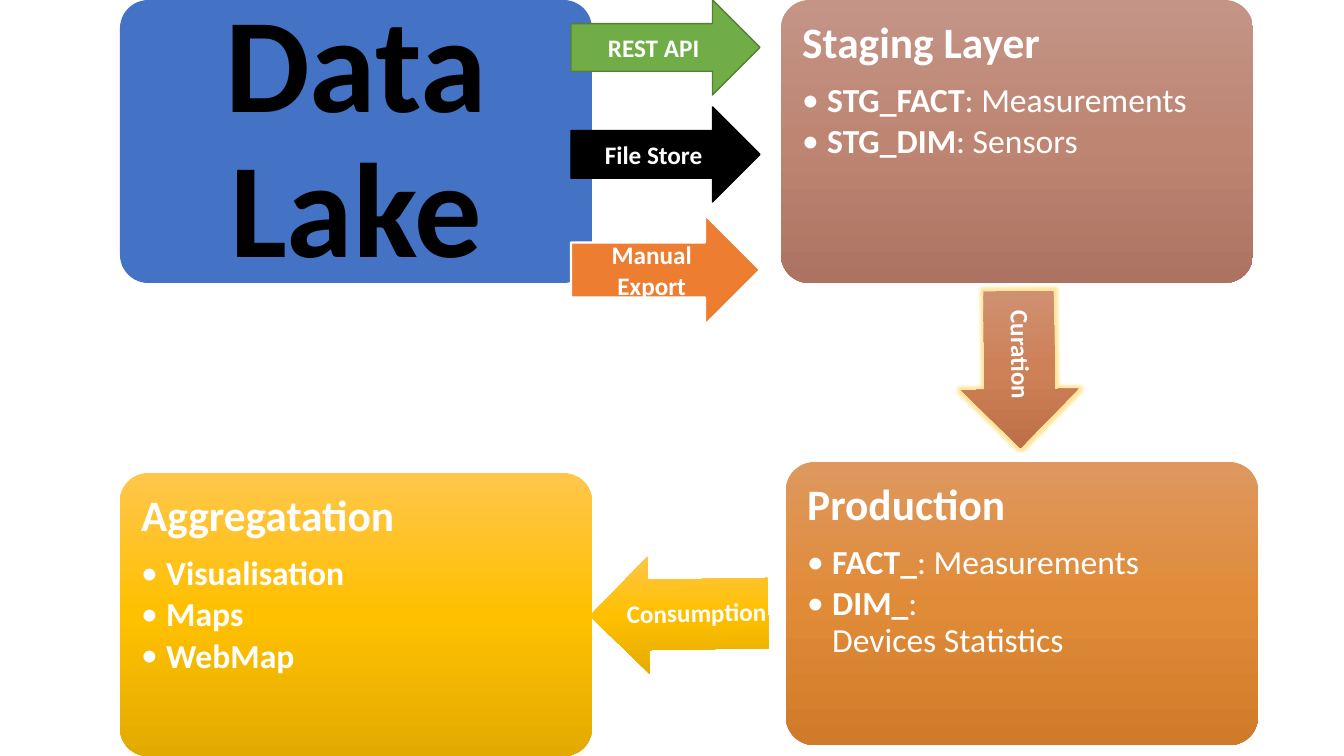
from copy import deepcopy
from pptx import Presentation
from pptx.dml.color import RGBColor
from pptx.enum.shapes import MSO_SHAPE
from pptx.enum.text import MSO_ANCHOR, PP_ALIGN
from pptx.oxml import parse_xml
from pptx.oxml.ns import nsdecls, qn
from pptx.util import Pt

PX = 914400 / 100.8
ROSE = ["C49587", "BE8573", "AD7362"]
CLAY = ["CF9172", "CE8056", "BD7047"]
AMBER = ["DE985E", "E08B38", "D07B29"]
GOLD = ["FFC64B", "FFC000", "E3AB00"]


def add_block(kind, box, tints, inset=0):
    """Add a borderless shape with a flat or three-stop fill and even insets."""
    shape = slide.shapes.add_shape(kind, *[round(n * PX) for n in box])
    shape.shadow.inherit = False
    shape.line.fill.background()
    if len(tints) == 1:
        shape.fill.solid()
        shape.fill.fore_color.rgb = RGBColor.from_string(tints[0])
    else:
        shape.fill.gradient()
        shape.fill.gradient_angle = 270
        stops = shape._element.spPr.find(".//" + qn("a:gsLst"))
        stops.append(deepcopy(stops[0]))
        for i, stop in enumerate(shape.fill.gradient_stops):
            stop.position = i / 2
            stop.color.rgb = RGBColor.from_string(tints[i])
    frame = shape.text_frame
    frame.word_wrap = True
    frame.margin_left = frame.margin_right = round(inset * PX)
    frame.margin_top = frame.margin_bottom = round(inset * PX)
    frame.vertical_anchor = MSO_ANCHOR.MIDDLE
    return shape


def set_text(para, text, size, color="FFFFFF", align=PP_ALIGN.CENTER):
    """Write a bold line; anything after a bar is set in regular weight."""
    para.alignment = align
    para.line_spacing = 0.9
    para.font.size = Pt(size)
    para.font.name = "Calibri"
    para.font.bold = True
    para.font.color.rgb = RGBColor.from_string(color)
    for i, part in enumerate(text.split("|")):
        for j, line in enumerate(part.split("\n")):
            if j:
                para.add_line_break()
            run = para.add_run()
            run.text = line
            run.font.size = Pt(size)
            run.font.name = "Calibri"
            run.font.bold = i == 0
            run.font.color.rgb = RGBColor.from_string(color)


deck = Presentation()
deck.slide_width = round(1344 * PX)
deck.slide_height = round(756 * PX)
slide = deck.slides.add_slide(deck.slide_layouts[6])

# Stages of the data flow
lake = add_block(MSO_SHAPE.ROUNDED_RECTANGLE, (120, 0, 472, 283), ["4472C4"], 40)
lake.adjustments[0] = 0.1
set_text(lake.text_frame.paragraphs[0], "Data Lake", 96, "000000")

cards = [
    (781, 0, ROSE, "Staging Layer",
     ["STG_FACT|: Measurements", "STG_DIM|: Sensors"]),
    (786, 462, AMBER, "Production",
     ["FACT_|: Measurements", "DIM_|: \nDevices Statistics"]),
    (120, 473, GOLD, "Aggregatation", ["Visualisation", "Maps", "WebMap"]),
]
for left, top, tints, head, items in cards:
    card = add_block(MSO_SHAPE.ROUNDED_RECTANGLE, (left, top, 472, 283), tints, 13)
    card.adjustments[0] = 0.1
    frame = card.text_frame
    frame.vertical_anchor = MSO_ANCHOR.TOP
    set_text(frame.paragraphs[0], head, 31, align=PP_ALIGN.LEFT)
    frame.paragraphs[0].space_after = Pt(11)
    for item in items:
        para = frame.add_paragraph()
        set_text(para, item, 24, align=PP_ALIGN.LEFT)
        para.level = 1
        para.space_after = Pt(3.6)
        props = para._p.get_or_add_pPr()
        props.set("marL", str(round(25 * PX)))
        props.set("indent", str(round(-25 * PX)))
        for tag in ('buFont typeface="Calibri"', 'buChar char="•"'):
            mark = parse_xml(f'<a:{tag} {nsdecls("a")}/>')
            props.insert_element_before(mark, "a:tabLst", "a:defRPr", "a:extLst")

# Steps between stages
steps = [
    (MSO_SHAPE.DOWN_ARROW, (961, 291, 117, 157), CLAY, -0.7, " Curation"),
    (MSO_SHAPE.LEFT_ARROW, (590, 556, 178, 117), GOLD, -0.9, "Consumption"),
]
for kind, box, tints, turn, label in steps:
    step = add_block(kind, box, tints)
    step.rotation = turn
    step.adjustments[0] = 0.6
    step.adjustments[1] = 0.5
    set_text(step.text_frame.paragraphs[0], label, 18)
    if kind == MSO_SHAPE.DOWN_ARROW:
        step.text_frame._txBody.bodyPr.set("vert", "vert")
        effects = step._element.spPr.find(qn("a:effectLst"))
        effects.append(parse_xml(
            f'<a:glow {nsdecls("a")} rad="63500"><a:srgbClr val="FFC000">'
            '<a:alpha val="40000"/></a:srgbClr></a:glow>'))

# Ways into the staging layer
feeds = [
    (0, 95, "70AD47", "538035", 1, "REST API"),
    (107, 95, "000000", "000000", 1, "File Store"),
    (215, 110, "ED7D31", "FFFFFF", 1.5, "Manual Export"),
]
for top, height, tint, edge, width, label in feeds:
    feed = add_block(MSO_SHAPE.RIGHT_ARROW, (571, top, 189, height), [tint], 10)
    feed.text_frame.margin_top = feed.text_frame.margin_bottom = round(5 * PX)
    feed.line.color.rgb = RGBColor.from_string(edge)
    feed.line.width = Pt(width)
    set_text(feed.text_frame.paragraphs[0], label, 18)
    feed.text_frame.paragraphs[0].line_spacing = 1.0

deck.save("out.pptx")
